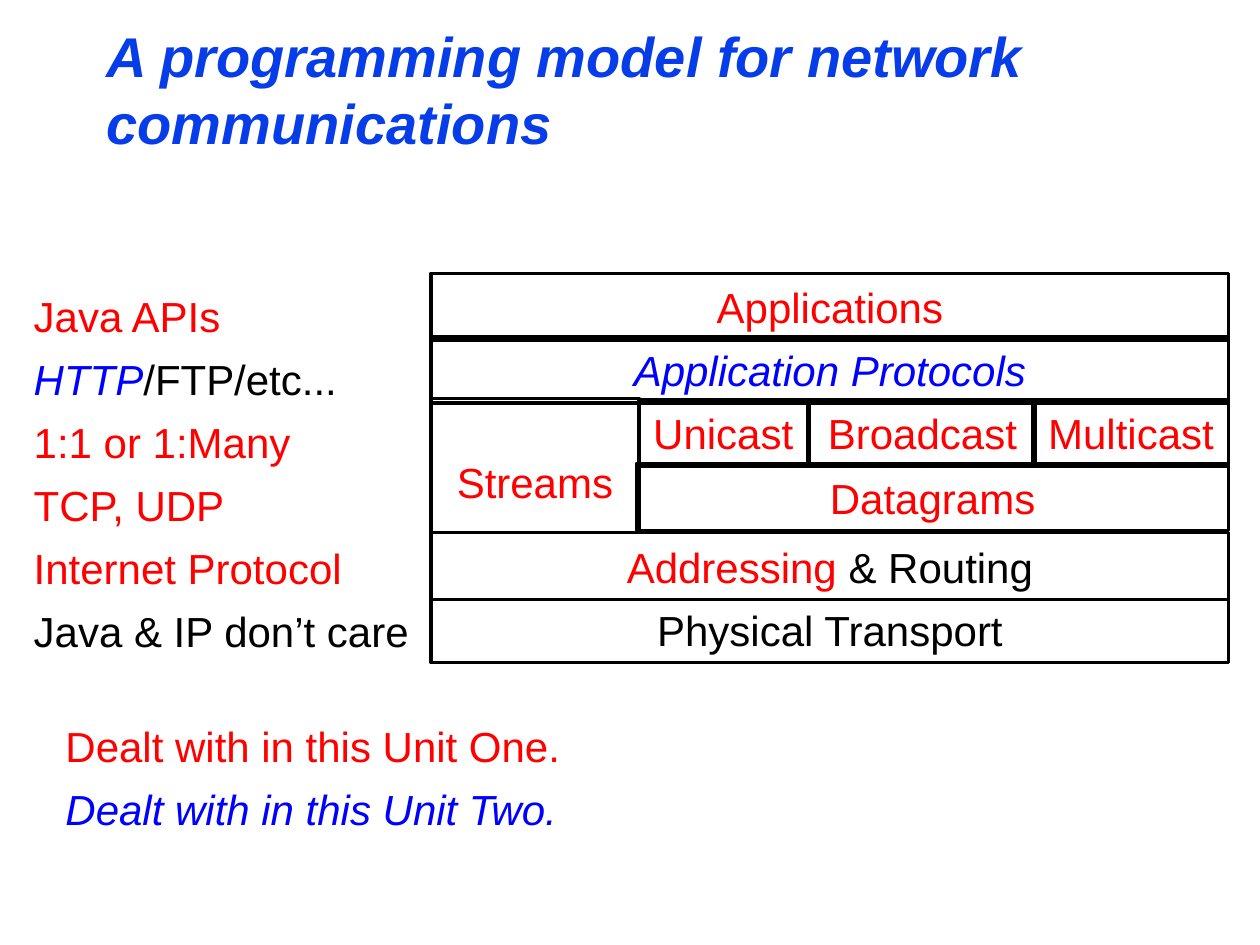
from pptx import Presentation
from pptx.dml.color import RGBColor
from pptx.enum.shapes import MSO_SHAPE
from pptx.enum.text import MSO_ANCHOR, PP_ALIGN
from pptx.util import Cm, Pt

RECTANGLE = MSO_SHAPE.RECTANGLE
MIDDLE = MSO_ANCHOR.MIDDLE
LEFT, CENTER = PP_ALIGN.LEFT, PP_ALIGN.CENTER

TITLE_BLUE = RGBColor(0x06, 0x3D, 0xE8)
BLUE = RGBColor(0x00, 0x00, 0xFF)
RED = RGBColor(0xFF, 0x00, 0x00)
BLACK = RGBColor(0x00, 0x00, 0x00)
WHITE = RGBColor(0xFF, 0xFF, 0xFF)

# Run formats
BODY = {"name": "Arial", "size": Pt(24), "bold": False, "italic": False}
HEADING = {**BODY, "size": Pt(32), "bold": True, "italic": True, "color": TITLE_BLUE}
UNIT_ONE = {**BODY, "color": RED}
UNIT_TWO = {**BODY, "color": BLUE, "italic": True}
PLAIN = {**BODY, "color": BLACK}

PITCH = 1.27
ROW_HEIGHT = 1.35

# Each label is a list of (text, format) runs
LABELS = [
    [("Java APIs", UNIT_ONE)],
    [("HTTP", UNIT_TWO), ("/FTP/etc...", PLAIN)],
    [("1:1 or 1:Many", UNIT_ONE)],
    [("TCP, UDP", UNIT_ONE)],
    [("Internet Protocol", UNIT_ONE)],
    [("Java & IP don’t care", PLAIN)],
]
LEGEND = [
    [("Dealt with in this Unit One.", UNIT_ONE)],
    [("Dealt with in this Unit Two.", UNIT_TWO)],
]

# Layers from back to front: left, top, width, height, fill, runs
STACK_WIDTH = 16.08
LAYERS = [
    (0, 6.5, STACK_WIDTH, ROW_HEIGHT, None, [("Physical Transport", PLAIN)]),
    (4.14, 3.84, 11.94, ROW_HEIGHT, None, [("Datagrams", UNIT_ONE)]),
    (7.62, 2 * PITCH, 4.57, ROW_HEIGHT, None, [("Broadcast", UNIT_ONE)]),
    (12.14, 2 * PITCH, 3.94, ROW_HEIGHT, None, [("Multicast", UNIT_ONE)]),
    (0, PITCH, STACK_WIDTH, ROW_HEIGHT, None, [("Application Protocols", UNIT_TWO)]),
    (0, 0, STACK_WIDTH, ROW_HEIGHT, None, [("Applications", UNIT_ONE)]),
    (0, 2.52, 4.19, 3.38, None, [("Streams", UNIT_ONE)]),
    (0, 5.23, STACK_WIDTH, ROW_HEIGHT, WHITE,
     [("Addressing", UNIT_ONE), (" & Routing", PLAIN)]),
    (4.19, 2 * PITCH, 3.4, ROW_HEIGHT, None, [("Unicast", UNIT_ONE)]),
]


def write_text(shape, runs, alignment, wrap):
    frame = shape.text_frame
    frame.word_wrap = wrap
    frame.vertical_anchor = MIDDLE
    paragraph = frame.paragraphs[0]
    paragraph.alignment = alignment
    for text, run_format in runs:
        run = paragraph.add_run()
        run.text = text
        for attribute, value in run_format.items():
            if attribute == "color":
                run.font.color.rgb = value
            else:
                setattr(run.font, attribute, value)


def add_title(slide, left, top, width, height):
    shape = slide.shapes.add_textbox(Cm(left), Cm(top), Cm(width), Cm(height))
    write_text(shape, [("A programming model for network communications", HEADING)],
               LEFT, True)


def add_lines(slide, left, top, width, lines):
    for index, runs in enumerate(lines):
        shape = slide.shapes.add_textbox(
            Cm(left), Cm(top + index * PITCH), Cm(width), Cm(PITCH))
        write_text(shape, runs, LEFT, False)


def add_protocol_stack(slide, left, top):
    for x, y, width, height, fill, runs in LAYERS:
        shape = slide.shapes.add_shape(
            RECTANGLE, Cm(left + x), Cm(top + y), Cm(width), Cm(height))
        shape.shadow.inherit = False
        if fill is None:
            shape.fill.background()
        else:
            shape.fill.solid()
            shape.fill.fore_color.rgb = fill
        shape.line.color.rgb = BLACK
        shape.line.width = Pt(2)
        write_text(shape, runs, CENTER, True)


presentation = Presentation()
presentation.slide_width = Cm(25.4)
presentation.slide_height = Cm(19.05)
slide = presentation.slides.add_slide(presentation.slide_layouts[6])

add_title(slide, 1.9, 0.84, 21.6, 1.9)
# Labels beside the stack
add_lines(slide, 0.43, 5.72, 8.1, LABELS)
add_protocol_stack(slide, 8.69, 5.51)
# Colour key
add_lines(slide, 1.07, 14.4, 10.5, LEGEND)

presentation.save("out.pptx")
